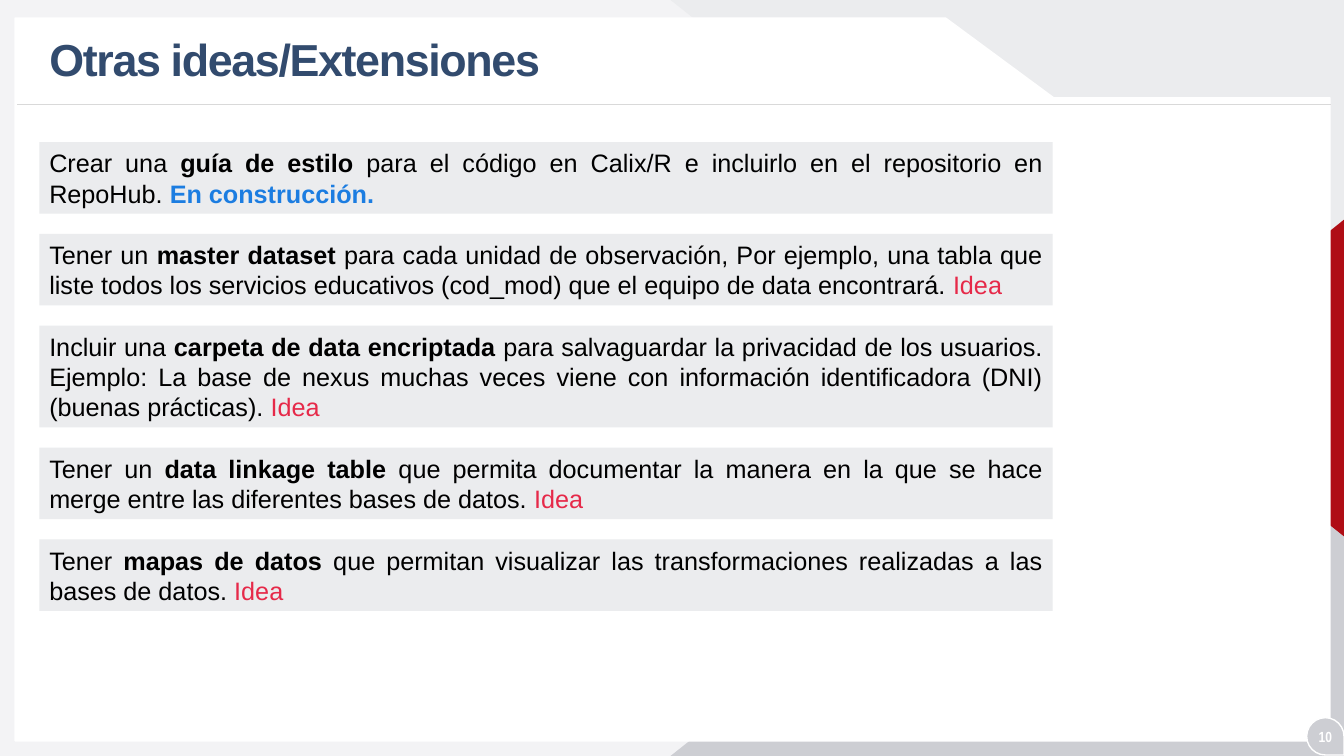
"""Build the slide of further ideas and extensions."""
from lxml import etree
from pptx import Presentation
from pptx.dml.color import RGBColor
from pptx.enum.shapes import MSO_CONNECTOR, MSO_SHAPE
from pptx.enum.text import MSO_ANCHOR, PP_ALIGN
from pptx.oxml.ns import qn
from pptx.util import Inches, Pt

RECT, TRI, DROP = MSO_SHAPE.RECTANGLE, MSO_SHAPE.ISOSCELES_TRIANGLE, MSO_SHAPE.TEAR
LINE = MSO_CONNECTOR.STRAIGHT
MIDDLE = MSO_ANCHOR.MIDDLE
LEFT, CENTER, JUSTIFY = PP_ALIGN.LEFT, PP_ALIGN.CENTER, PP_ALIGN.JUSTIFY

HUES = {
    "white": "FFFFFF", "black": "000000", "pale": "F3F3F5", "light": "EBECEE",
    "gray": "CDCED3", "rule": "D9D9D9", "dark": "AF0D15", "navy": "324B6E",
    "blue": "1C7DE1", "red": "E62949",
}
TITLE = "Otras ideas/Extensiones"
NUMBER = "10"
IDEA = ("Idea", "red", False)
DRAFT = ("En construcción.", "blue", True)
IDEAS = [
    (0.71, "Crear una ", "guía de estilo ",
     "para el código en Calix/R e incluirlo en el repositorio en RepoHub. ", DRAFT),
    (0.71, "Tener un ", "master dataset ",
     "para cada unidad de observación, Por ejemplo, una tabla que liste todos los "
     "servicios educativos (cod_mod) que el equipo de data encontrará. ", IDEA),
    (1.01, "Incluir una ", "carpeta de data encriptada ",
     "para salvaguardar la privacidad de los usuarios. Ejemplo: La base de nexus "
     "muchas veces viene con información identificadora (DNI) (buenas prácticas). ", IDEA),
    (0.71, "Tener un ", "data linkage table ",
     "que permita documentar la manera en la que se hace merge entre las "
     "diferentes bases de datos. ", IDEA),
    (0.71, "Tener ", "mapas de datos ",
     "que permitan visualizar las transformaciones realizadas a las bases de datos. ", IDEA),
]
DECOR = [
    (RECT, (0, 0, 13.33, 7.5), "pale", 0, None, False),
    (TRI, (6.65, 0, 6.69, 5.31), "light", 0, 1, True),
    (TRI, (6.65, 2.19, 6.69, 5.31), "gray", 0, 1, False),
    (TRI, (10.78, 2.77, 3.15, 1.96), "dark", 270, 0.5, False),
]
PANEL = [(0.15, 0.18), (9.38, 0.18), (10.45, 0.97), (13.19, 0.97), (13.19, 7.35), (0.15, 7.35)]
TOP, GAP = 1.41, 0.2


def color(name):
    """Return the named colour."""
    return RGBColor.from_string(HUES[name])


def paint(shape, fill, edge=None):
    """Set fill and outline, without shadow."""
    shape.shadow.inherit = False
    shape.fill.solid()
    shape.fill.fore_color.rgb = color(fill)
    if edge:
        shape.line.color.rgb = color(edge)
        shape.line.width = Pt(1)
    else:
        shape.line.fill.background()


def add_form(slide, kind, box, fill, turn=0, adj=None, flip=False, edge=None):
    """Add one preset shape."""
    shape = slide.shapes.add_shape(kind, *map(Inches, box))
    paint(shape, fill, edge)
    shape.rotation = turn
    if adj is not None:
        shape.adjustments[0] = adj
    if flip:
        shape.element.spPr.find(qn("a:xfrm")).set("flipV", "1")
    return shape


def write(shape, runs, align, **font):
    """Fill a shape with one paragraph of (text, colour, bold) runs."""
    frame = shape.text_frame
    frame.word_wrap = True
    frame.vertical_anchor = MIDDLE
    para = frame.paragraphs[0]
    para.alignment = align
    for text, hue, bold in runs:
        run = para.add_run()
        run.text = text
        run.font.color.rgb = color(hue)
        for key, value in {**font, "bold": bold}.items():
            setattr(run.font, key, value)
    return para


def add_frame(slide):
    """Draw the background, panel, rule and page marker."""
    for item in DECOR:
        add_form(slide, *item)
    pen = slide.shapes.build_freeform(*map(Inches, PANEL[0]), scale=1.0)
    pen.add_line_segments([tuple(map(Inches, spot)) for spot in PANEL[1:]], close=True)
    paint(pen.convert_to_shape(), "white", "white")
    rule = slide.shapes.add_connector(LINE, *map(Inches, (13.2, 1.04, 0.17, 1.04)))
    rule.line.color.rgb = color("rule")
    rule.line.width = Pt(0.5)
    etree.SubElement(rule.element.spPr, qn("a:effectLst"))
    add_form(slide, DROP, (12.96, 7.12, 0.37, 0.37), "gray", 90, edge="white")
    label = slide.shapes.add_textbox(*map(Inches, (12.91, 7.17, 0.47, 0.28)))
    write(label, [(NUMBER, "white", True)], CENTER, name="Arial Narrow", size=Pt(10.5))


def add_title(slide):
    """Place the title above the panel."""
    title = slide.shapes.title
    box = dict(zip(("left", "top", "width", "height"), (0.39, 0.22, 9.66, 0.79)))
    for key, value in box.items():
        setattr(title, key, Inches(value))
    para = write(title, [(TITLE, "navy", True)], LEFT, name="Arial", size=Pt(32))
    para.line_spacing = 0.9
    para.runs[0].font._element.set("spc", "-100")
    slide.shapes._spTree.append(title.element)


def main():
    """Build and save the deck."""
    deck = Presentation()
    deck.slide_width, deck.slide_height = Inches(13.33), Inches(7.5)
    slide = deck.slides.add_slide(deck.slide_layouts[5])
    add_frame(slide)
    add_title(slide)
    top = TOP
    for high, lead, key, rest, status in IDEAS:
        card = add_form(slide, RECT, (0.39, top, 10.05, high), "light")
        runs = [(lead, "black", False), (key, "black", True), (rest, "black", False), status]
        write(card, runs, JUSTIFY, name="Arial", size=Pt(18))
        top += high + GAP
    deck.save("out.pptx")


if __name__ == "__main__":
    main()
